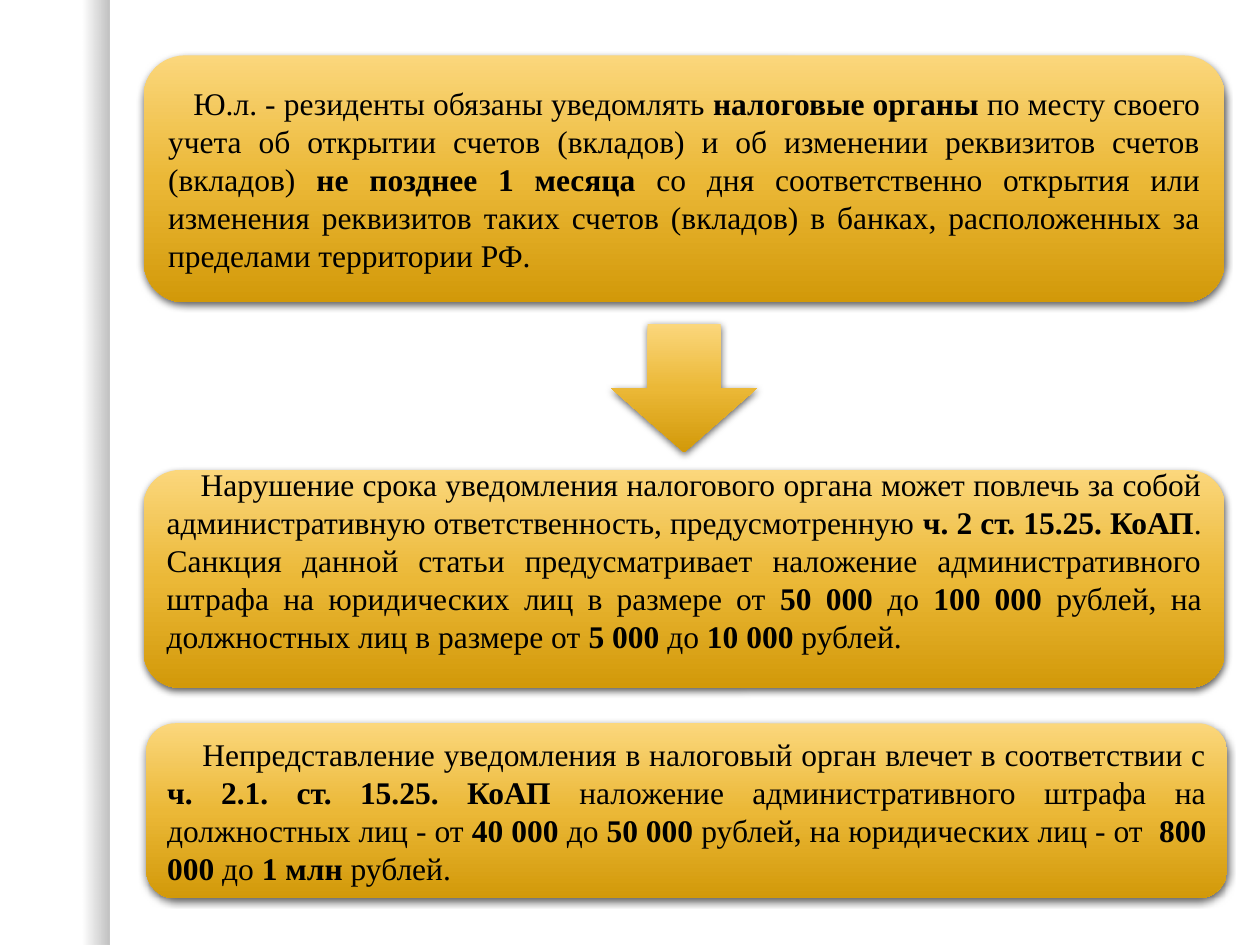
from lxml.etree import SubElement
from pptx import Presentation
from pptx.dml.color import RGBColor
from pptx.enum.shapes import MSO_SHAPE as Shape
from pptx.enum.text import MSO_ANCHOR as Anchor, PP_ALIGN as Align
from pptx.oxml.ns import qn
from pptx.util import Inches, Pt

GOLD = [(0, "FBD77C", 100), (50, "EBB837", 100), (100, "D29909", 100)]
EDGE = [(75, "000000", 0), (100, "000000", 25)]
CARDS = [
    (1.14, 0.44, 1.96, 0.2, 0.05,
     "Ю.л. - резиденты обязаны уведомлять *налоговые органы *по месту своего учета "
     "об открытии счетов (вкладов) и об изменении реквизитов счетов (вкладов) "
     "*не позднее 1 месяца *со дня соответственно открытия или изменения реквизитов "
     "таких счетов (вкладов) в банках, расположенных за пределами территории РФ."),
    (1.14, 3.73, 1.73, 0.27, 0.35,
     "Нарушение срока уведомления налогового органа может повлечь за собой "
     "административную ответственность, предусмотренную *ч. 2 ст. 15.25. КоАП*. "
     "Санкция данной статьи предусматривает наложение административного штрафа "
     "на юридических лиц в размере от *50 000* до *100 000 *рублей, "
     "на должностных лиц в размере от *5 000* до *10 000* рублей."),
    (1.16, 5.74, 1.39, 0.28, 0.05,
     "Непредставление уведомления в налоговый орган влечет в соответствии с "
     "*ч. 2.1. ст. 15.25. КоАП *наложение административного штрафа на должностных "
     "лиц - от *40 000 *до *50 000 *рублей, на юридических лиц - от  *800 000 *до "
     "*1 млн* рублей."),
]


def add_color(parent, color, alpha):
    """Add a hex colour with an opacity in percent to an XML element."""
    clr = SubElement(parent, qn("a:srgbClr"), val=color)
    SubElement(clr, qn("a:alpha"), val=str(alpha * 1000))


def add_gradient_shape(slide, kind, left, top, width, height, stops, angle):
    """Add an unlined shape with a linear gradient and no shadow."""
    sp = slide.shapes.add_shape(
        kind, Inches(left), Inches(top), Inches(width), Inches(height))
    grad = SubElement(sp._element.spPr, qn("a:gradFill"), rotWithShape="1")
    gs_list = SubElement(grad, qn("a:gsLst"))
    for pos, color, alpha in stops:
        gs = SubElement(gs_list, qn("a:gs"), pos=str(pos * 1000))
        add_color(gs, color, alpha)
    SubElement(grad, qn("a:lin"), ang=str(angle * 60000), scaled="0")
    sp.line.fill.background()
    sp.shadow.inherit = False
    return sp


def add_gold_shape(slide, kind, left, top, width, height):
    """Add a gold shape with a soft shadow below it."""
    sp = add_gradient_shape(slide, kind, left, top, width, height, GOLD, 90)
    effects = sp._element.spPr.find(qn("a:effectLst"))
    shadow = SubElement(
        effects, qn("a:outerShdw"), blurRad=str(Pt(4.5)), dist=str(Pt(1.5)),
        dir=str(90 * 60000), rotWithShape="0")
    add_color(shadow, "000000", 63)
    return sp


def add_card(slide, left, top, height, indent, bottom, text):
    """Add a rounded card whose text has its bold parts between asterisks."""
    sp = add_gold_shape(slide, Shape.ROUNDED_RECTANGLE, left, top, 8.58, height)
    tf = sp.text_frame
    tf.word_wrap = True
    tf.vertical_anchor = Anchor.MIDDLE
    tf.margin_bottom = Inches(bottom)
    p = tf.paragraphs[0]
    p.alignment = Align.JUSTIFY
    p._p.get_or_add_pPr().set("indent", str(Inches(indent)))
    p.font.name = "Times New Roman"
    p.font.size = Pt(18)
    p.font.color.rgb = RGBColor.from_string("000000")
    for i, part in enumerate(text.split("*")):
        r = p.add_run()
        r.text = part
        r.font.bold = i % 2 == 1


def main():
    """Build the slide and save it."""
    prs = Presentation()
    prs.slide_width, prs.slide_height = Inches(10), Inches(7.5)
    slide = prs.slides.add_slide(prs.slide_layouts[6])
    add_gradient_shape(slide, Shape.RECTANGLE, 0, 0, 0.87, 7.5, EDGE, 0)
    add_gold_shape(slide, Shape.DOWN_ARROW, 4.85, 2.57, 1.16, 1.02)
    for card in CARDS:
        add_card(slide, *card)
    prs.save("out.pptx")


if __name__ == "__main__":
    main()
